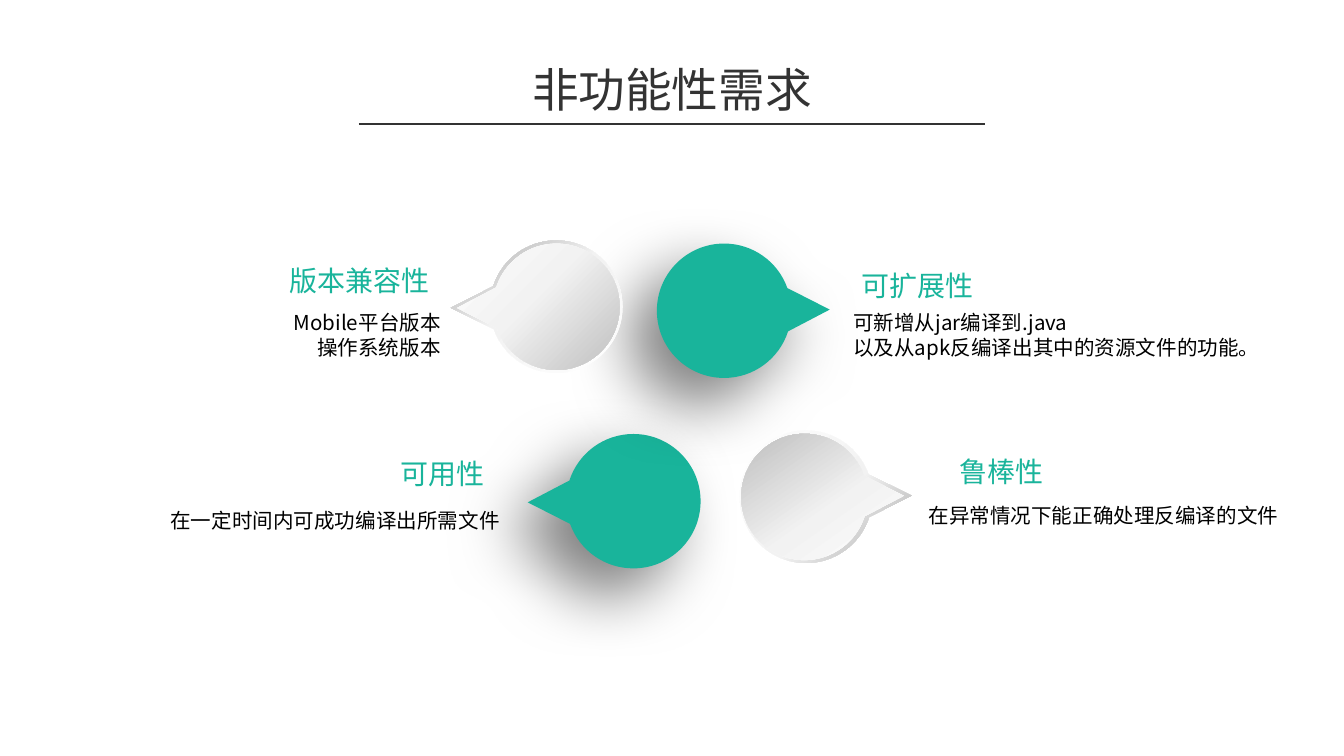
from math import cos, radians, sin, tan

from lxml.etree import SubElement
from pptx import Presentation
from pptx.dml.color import RGBColor
from pptx.enum.shapes import MSO_CONNECTOR
from pptx.enum.text import MSO_AUTO_SIZE, PP_ALIGN
from pptx.oxml.ns import qn
from pptx.util import Pt

FONT = "Noto Sans CJK SC"
TEAL, DARK, BLACK = "19B49B", "333333", "000000"
LEFT, CENTER, RIGHT = PP_ALIGN.LEFT, PP_ALIGN.CENTER, PP_ALIGN.RIGHT
UNITS = 100


def color(value):
    """Turn a hex string into a colour."""
    return RGBColor.from_string(value)


def add_text(page, place, lines, size, ink, align=LEFT, wrap=False):
    """Add a text box with one paragraph per line."""
    box = page.shapes.add_textbox(*map(Pt, place))
    frame = box.text_frame
    frame.word_wrap = wrap
    frame.auto_size = MSO_AUTO_SIZE.SHAPE_TO_FIT_TEXT
    frame.text = "\n".join(lines)
    for para in frame.paragraphs:
        para.alignment = align
        para.font.size = Pt(size)
        para.font.name = FONT
        para.font.color.rgb = color(ink)
        SubElement(para.font._element, qn("a:ea"), typeface=FONT)


def add_rule(page, left, right, y):
    """Add the line under the title."""
    rule = page.shapes.add_connector(MSO_CONNECTOR.STRAIGHT, Pt(left), Pt(y), Pt(right), Pt(y))
    rule.line.color.rgb = color(DARK)
    rule.line.width = Pt(0.75)
    SubElement(rule._element.spPr, qn("a:effectLst"))


def corner(x, y):
    """Describe a point that is reached by a straight line."""
    return (x, y), []


def arc(radius, center_x, center_y, first, last):
    """Describe a clockwise arc, in degrees from the top, as quarter curves."""
    def spot(angle, pull=0):
        return (center_x + radius * (sin(angle) + pull * cos(angle)),
                center_y + radius * (pull * sin(angle) - cos(angle)))

    angles = [radians(angle) for angle in (first, 90, 180, 270, last)]
    nodes = [corner(*spot(angles[0]))]
    for start, end in zip(angles, angles[1:]):
        pull = 4 / 3 * tan((end - start) / 4)
        nodes.append((spot(end), [spot(start, pull), spot(end, -pull)]))
    return nodes


def bend(segment, controls):
    """Turn a straight segment into a curve with two control points."""
    segment.tag = qn("a:cubicBezTo")
    for index, (x, y) in enumerate(controls):
        handle = SubElement(segment, qn("a:pt"), x=str(round(x * UNITS)), y=str(round(y * UNITS)))
        segment.insert(index, handle)


def add_drop(shapes, place, rotation, hollow=False):
    """Add a round drop that points up before it is turned."""
    left, top, width, height = place
    radius = width / 2
    center_y = height - radius
    outlines = [[corner(radius - 0.6, 0)] + arc(radius, radius, center_y, 17.9, 340.3)]
    if hollow:
        notch = [corner(radius + side, center_y - 16.6) for side in (-20, 20)]
        outlines.append(arc(radius - 3.5, radius, center_y, 26, 334) + notch)
    points = [[(x * UNITS, y * UNITS) for (x, y), _ in outline] for outline in outlines]
    builder = shapes.build_freeform(*points[0][0], scale=Pt(1) / UNITS)
    builder.add_line_segments(points[0][1:], close=True)
    for contour in points[1:]:
        builder.move_to(*contour[0])
        builder.add_line_segments(contour[1:], close=True)
    drop = builder.convert_to_shape(Pt(left), Pt(top))
    segments = list(drop._element.spPr.iter(qn("a:lnTo")))
    nodes = [node for outline in outlines for node in outline[1:]]
    for segment, (_, controls) in zip(segments, nodes):
        if controls:
            bend(segment, controls)
    drop.rotation = rotation
    drop.line.fill.background()
    drop.shadow.inherit = False
    return drop


def fill_gradient(shape, stops, angle):
    """Fill a shape with a gradient that keeps its direction when turned."""
    shape.fill.gradient()
    gradient = shape._element.spPr.find(qn("a:gradFill"))
    gradient.set("rotWithShape", "0")
    for child in list(gradient):
        gradient.remove(child)
    stop_list = SubElement(gradient, qn("a:gsLst"))
    for position, value in stops:
        stop = SubElement(stop_list, qn("a:gs"), pos=str(position * 1000))
        SubElement(stop, qn("a:srgbClr"), val=value)
    SubElement(gradient, qn("a:lin"), ang=str(angle * 60000), scaled="0")


def add_teal_drop(page, left, top, rotation):
    """Add a teal drop with a soft shadow at the lower left."""
    drop = add_drop(page.shapes, (left, top, 72, 92.6), rotation)
    drop.fill.solid()
    drop.fill.fore_color.rgb = color(TEAL)
    effects = drop._element.spPr.find(qn("a:effectLst"))
    shadow = SubElement(effects, qn("a:outerShdw"), blurRad=str(Pt(35)), dist=str(Pt(20)),
                        dir=str(135 * 60000), algn="tr", rotWithShape="0")
    tint = SubElement(shadow, qn("a:srgbClr"), val=BLACK)
    SubElement(tint, qn("a:alpha"), val="50000")


def add_grey_drop(page, rim_place, face_place, rotation, rim_angle, face_angle, middle):
    """Add a grey drop made of a rim and a face."""
    group = page.shapes.add_group_shape()
    rim = add_drop(group.shapes, rim_place, rotation, hollow=True)
    fill_gradient(rim, [(0, "FFFFFF"), (55, "F2F2F2"), (100, "A6A6A6")], rim_angle)
    face = add_drop(group.shapes, face_place, rotation)
    fill_gradient(face, [(0, "FFFFFF"), (middle, "F2F2F2"), (100, "BFBFBF")], face_angle)


def main():
    """Build the slide and save it."""
    deck = Presentation()
    deck.slide_width, deck.slide_height = Pt(720), Pt(405)
    page = deck.slides.add_slide(deck.slide_layouts[6])

    add_text(page, (226.8, 28.8, 266.4, 37.4), ["非功能性需求"], 25, DARK, CENTER, True)
    add_rule(page, 192.2, 527.8, 66.4)

    add_teal_drop(page, 293, 222.2, 270)
    add_grey_drop(page, (406.8, 220.1, 71, 92), (406.8, 222.7, 67.7, 87.1), 90, 45, 235, 43)
    add_teal_drop(page, 362.2, 120.2, 90)
    add_grey_drop(page, (252, 118.3, 71, 92), (254.5, 120.8, 67.7, 87.1), 270, 235, 45, 45)

    headings = [
        ("版本兼容性", 147.2, 137.5, 90),
        ("可扩展性", 453.6, 140.4, 74.9),
        ("可用性", 207, 241.2, 59.8),
        ("鲁棒性", 506.2, 239.8, 59.8),
    ]
    for heading, left, top, width in headings:
        add_text(page, (left, top, width, 25.2), [heading], 15, TEAL, RIGHT)

    details = [
        (["Mobile平台版本", "操作系统版本"], (141.1, 162.7, 102.2, 33.8), RIGHT, False),
        (["可新增从jar编译到.java", "以及从apk反编译出其中的资源文件的功能。"],
         (450, 162.7, 230, 33.8), LEFT, True),
        (["在一定时间内可成功编译出所需文件"], (82.8, 268.6, 192.2, 20.9), RIGHT, False),
        (["在异常情况下能正确处理反编译的文件"], (490.3, 265.7, 203, 20.9), LEFT, False),
    ]
    for lines, place, align, wrap in details:
        add_text(page, place, lines, 11, BLACK, align, wrap)

    deck.save("out.pptx")


main()
